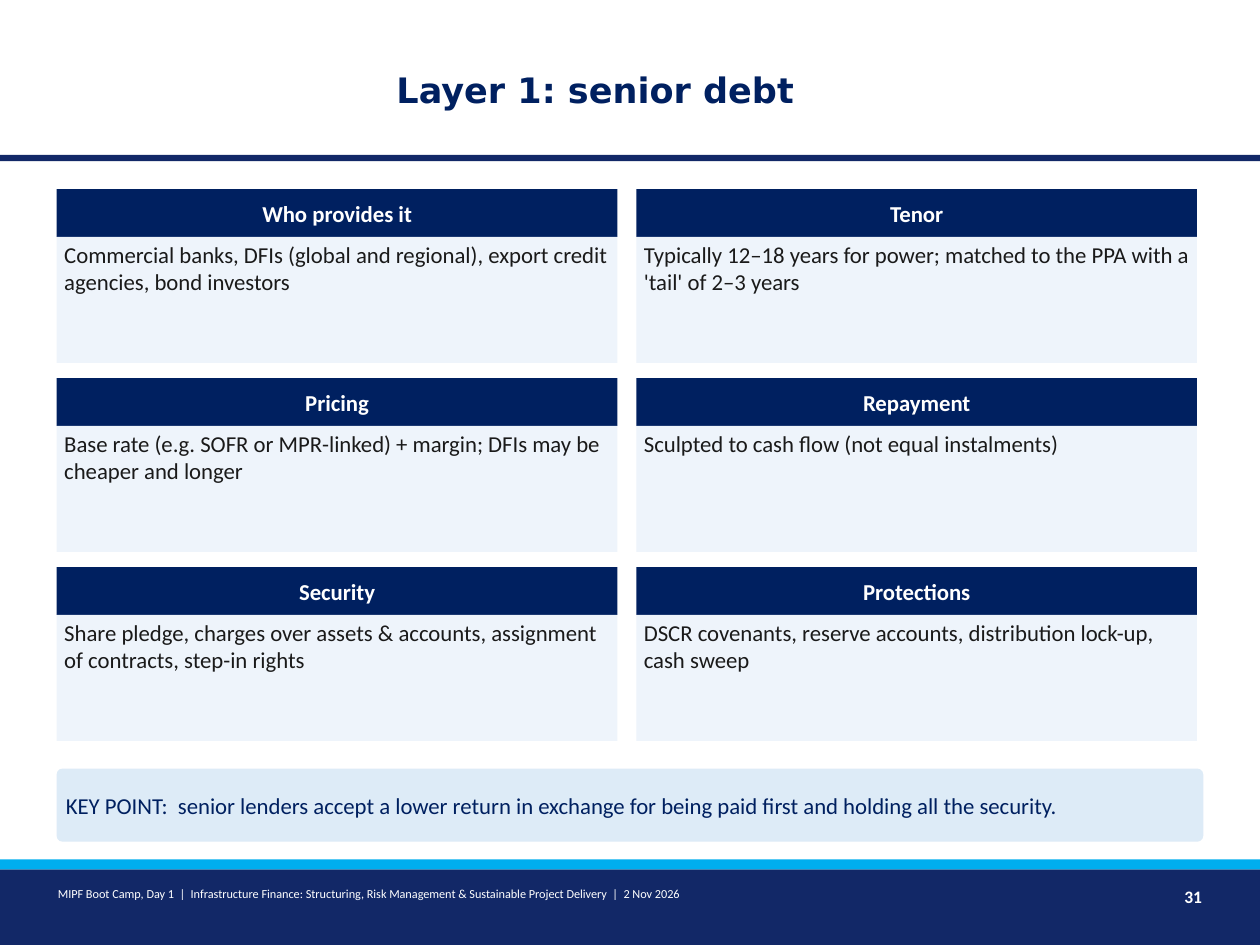
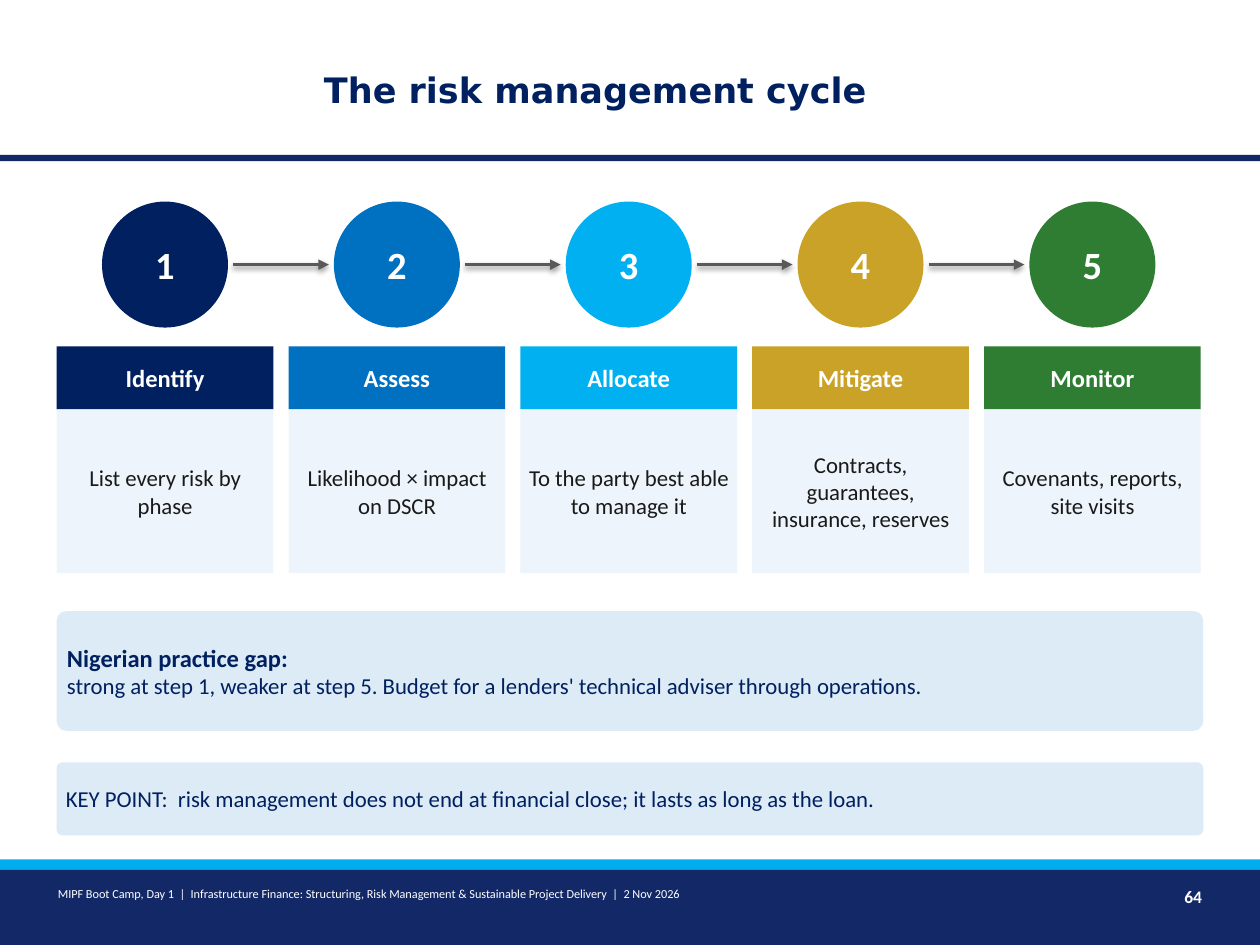
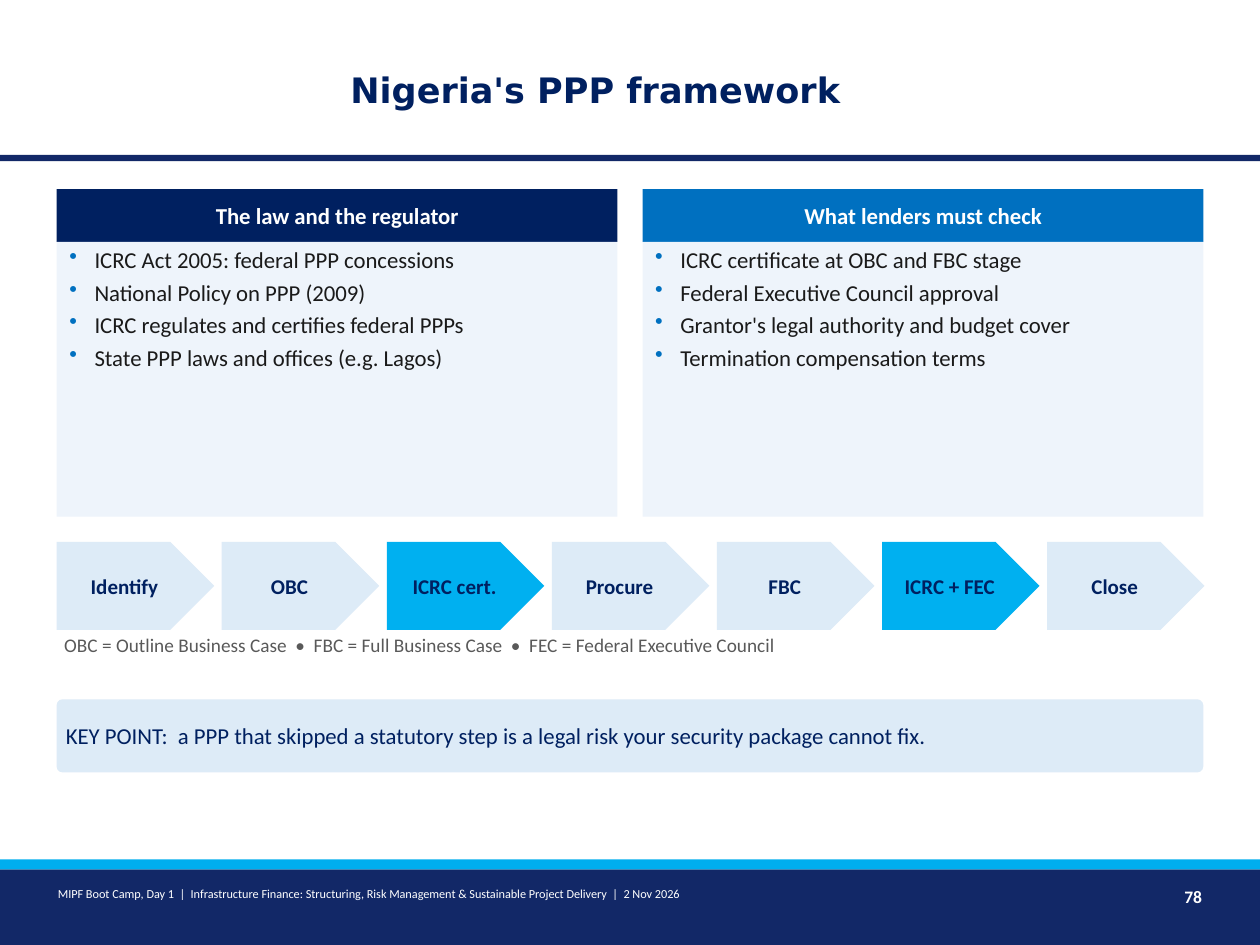
from lxml import etree
from pptx import Presentation
from pptx.dml.color import RGBColor
from pptx.enum.dml import MSO_LINE
from pptx.enum.shapes import MSO_CONNECTOR, MSO_SHAPE
from pptx.enum.text import MSO_ANCHOR, MSO_AUTO_SIZE, PP_ALIGN
from pptx.oxml.ns import qn
from pptx.util import Emu, Pt

RECT = MSO_SHAPE.RECTANGLE
ROUNDED = MSO_SHAPE.ROUNDED_RECTANGLE
OVAL = MSO_SHAPE.OVAL
PENTAGON = MSO_SHAPE.PENTAGON
STRAIGHT = MSO_CONNECTOR.STRAIGHT
SOLID = MSO_LINE.SOLID
LEFT, CENTER, RIGHT = PP_ALIGN.LEFT, PP_ALIGN.CENTER, PP_ALIGN.RIGHT
TOP, MIDDLE = MSO_ANCHOR.TOP, MSO_ANCHOR.MIDDLE
GROW = MSO_AUTO_SIZE.SHAPE_TO_FIT_TEXT

EMU_PER_PX = 9144  # 100 px to the inch
COLORS = {
    "band": "122867", "stripe": "00AEEF", "navy": "002060", "blue": "0070C0",
    "sky": "00B0F0", "gold": "C9A227", "green": "2E7D32", "panel": "EEF4FB",
    "callout": "DDEBF7", "ink": "1A1A1A", "gray": "595959", "white": "FFFFFF",
}
BODY_FONT, TITLE_FONT = "Calibri", "DejaVu Sans"
MARGIN, CONTENT_WIDTH, COLUMN_WIDTH = 45, 910, 445
CONTENT_TOP = 150
FOOTER = ("MIPF Boot Camp, Day 1  |  Infrastructure Finance: Structuring, "
          "Risk Management & Sustainable Project Delivery  |  2 Nov 2026")

DEBT_TERMS = [
    ("Who provides it", "Commercial banks, DFIs (global and regional), export "
                        "credit agencies, bond investors"),
    ("Tenor", "Typically 12–18 years for power; matched to the PPA with a "
              "'tail' of 2–3 years"),
    ("Pricing", "Base rate (e.g. SOFR or MPR-linked) + margin; DFIs may be "
                "cheaper and longer"),
    ("Repayment", "Sculpted to cash flow (not equal instalments)"),
    ("Security", "Share pledge, charges over assets & accounts, assignment of "
                 "contracts, step-in rights"),
    ("Protections", "DSCR covenants, reserve accounts, distribution lock-up, "
                    "cash sweep"),
]
RISK_STEPS = [
    ("Identify", "List every risk by phase", "navy"),
    ("Assess", "Likelihood × impact on DSCR", "blue"),
    ("Allocate", "To the party best able to manage it", "sky"),
    ("Mitigate", "Contracts, guarantees, insurance, reserves", "gold"),
    ("Monitor", "Covenants, reports, site visits", "green"),
]
PPP_COLUMNS = [
    ("The law and the regulator", "navy", [
        "ICRC Act 2005: federal PPP concessions",
        "National Policy on PPP (2009)",
        "ICRC regulates and certifies federal PPPs",
        "State PPP laws and offices (e.g. Lagos)",
    ]),
    ("What lenders must check", "blue", [
        "ICRC certificate at OBC and FBC stage",
        "Federal Executive Council approval",
        "Grantor's legal authority and budget cover",
        "Termination compensation terms",
    ]),
]
PPP_STAGES = ["Identify", "OBC", "ICRC cert.", "Procure", "FBC", "ICRC + FEC", "Close"]
REGULATED_STAGES = {"ICRC cert.", "ICRC + FEC"}


def px(length):
    return Emu(length * EMU_PER_PX)


def box_px(*lengths):
    return [px(length) for length in lengths]


def rgb(color):
    return RGBColor.from_string(COLORS[color])


def add_bullet(paragraph):
    properties = paragraph._p.get_or_add_pPr()
    properties.set("marL", str(px(24)))
    properties.set("indent", str(px(-20)))
    bullet_color = etree.SubElement(properties, qn("a:buClr"))
    etree.SubElement(bullet_color, qn("a:srgbClr"), val=COLORS["blue"])
    etree.SubElement(properties, qn("a:buChar"), char="•")


def write(frame, text, size=13, color="ink", bold=False, font=BODY_FONT,
          align=LEFT, anchor=MIDDLE, after=None, bullet=False, new=False):
    """Write one paragraph: the first of the frame, or a further one if new."""
    frame.word_wrap = True
    frame.vertical_anchor = anchor
    paragraph = frame.add_paragraph() if new else frame.paragraphs[0]
    if bullet:
        add_bullet(paragraph)
    paragraph.alignment = align
    if after is not None:
        paragraph.space_after = Pt(after)
    run = paragraph.add_run()
    run.text = text
    run.font.name = font
    run.font.size = Pt(size)
    run.font.bold = bold
    run.font.color.rgb = rgb(color)


def set_insets(frame):
    frame.margin_left = frame.margin_right = px(6)
    frame.margin_top = frame.margin_bottom = px(3)


def add_block(slide, kind, box, fill, text=None, **text_format):
    block = slide.shapes.add_shape(kind, *box_px(*box))
    block.shadow.inherit = False
    block.fill.solid()
    block.fill.fore_color.rgb = rgb(fill)
    block.line.fill.background()
    set_insets(block.text_frame)
    if text:
        write(block.text_frame, text, **text_format)
    return block


def add_label(slide, box, text, **text_format):
    frame = slide.shapes.add_textbox(*box_px(*box)).text_frame
    set_insets(frame)
    write(frame, text, anchor=TOP, **text_format)
    frame.auto_size = GROW


def add_header(slide, box, text, fill, size=13):
    add_block(slide, RECT, box, fill, text, size=size, color="white", bold=True,
              align=CENTER)


def add_callout(slide, top, height, text, **text_format):
    callout = add_block(slide, ROUNDED, (MARGIN, top, CONTENT_WIDTH, height),
                        "callout", text, color="navy", **text_format)
    callout.adjustments[0] = 0.08
    return callout


def add_key_point(slide, top, text):
    add_callout(slide, top, 58, "KEY POINT:  " + text)


def add_arrow(slide, start, end, y):
    arrow = slide.shapes.add_connector(STRAIGHT, *box_px(start, y, end, y))
    arrow.line.color.rgb = rgb("gray")
    arrow.line.width = Pt(2)
    arrow.line.dash_style = SOLID
    etree.SubElement(arrow.line._get_or_add_ln(), qn("a:tailEnd"), type="triangle")


def add_bands(layout, slide):
    """Draw the bands on the slide, then move them to the layout all slides share."""
    for placeholder in list(layout.placeholders)[1:]:
        layout.shapes.element.remove(placeholder.element)
    for top, height, fill in [(123, 5, "band"), (690, 60, "band"), (682, 8, "stripe")]:
        band = add_block(slide, RECT, (0, top, 1000, height), fill)
        layout.shapes.element.append(band.element)


def add_slide(prs, title_text, number):
    layout = prs.slide_layouts[5]
    slide = prs.slides.add_slide(layout)
    if len(prs.slides) == 1:
        add_bands(layout, slide)
    title = slide.shapes.title
    title.left, title.top, title.width, title.height = box_px(230, 22, 485, 98)
    write(title.text_frame, title_text, size=20, color="navy", bold=True,
          font=TITLE_FONT, align=CENTER)
    add_label(slide, (40, 700, 680, 35), FOOTER, size=7, color="white")
    add_label(slide, (900, 700, 60, 35), str(number), size=10, color="white",
              bold=True, align=RIGHT)
    return slide


def build_senior_debt(prs):
    slide = add_slide(prs, "Layer 1: senior debt", 31)
    for index, (heading, detail) in enumerate(DEBT_TERMS):
        row, column = divmod(index, 2)
        left, top = MARGIN + column * 460, CONTENT_TOP + row * 150
        add_header(slide, (left, top, COLUMN_WIDTH, 38), heading, "navy")
        add_block(slide, RECT, (left, top + 38, COLUMN_WIDTH, 100), "panel",
                  detail, anchor=TOP, after=3)
    add_key_point(slide, 610, "senior lenders accept a lower return in exchange "
                              "for being paid first and holding all the security.")


def build_risk_cycle(prs):
    slide = add_slide(prs, "The risk management cycle", 64)
    width, pitch, diameter, arrow_gap = 172, 184, 100, 4
    for index, (step, action, color) in enumerate(RISK_STEPS):
        left = MARGIN + index * pitch
        circle_left = left + (width - diameter) // 2
        add_block(slide, OVAL, (circle_left, 160, diameter, diameter), color,
                  str(index + 1), size=22, color="white", bold=True, align=CENTER)
        add_header(slide, (left, 275, width, 50), step, color, size=14)
        add_block(slide, RECT, (left, 325, width, 130), "panel", action, align=CENTER)
        if index < len(RISK_STEPS) - 1:
            add_arrow(slide, circle_left + diameter + arrow_gap,
                      circle_left + pitch - arrow_gap, 210)
    practice_gap = add_callout(slide, 485, 95, "Nigerian practice gap:", size=14,
                               bold=True)
    write(practice_gap.text_frame, "strong at step 1, weaker at step 5. Budget for a "
          "lenders' technical adviser through operations.", color="navy", new=True)
    add_key_point(slide, 605, "risk management does not end at financial close; "
                              "it lasts as long as the loan.")


def build_ppp_framework(prs):
    slide = add_slide(prs, "Nigeria's PPP framework", 78)
    for column, (heading, color, points) in enumerate(PPP_COLUMNS):
        left = MARGIN + column * 465
        add_header(slide, (left, CONTENT_TOP, COLUMN_WIDTH, 42), heading, color)
        panel = add_block(slide, RECT, (left, 192, COLUMN_WIDTH, 218), "panel")
        for index, point in enumerate(points):
            write(panel.text_frame, point, anchor=TOP, after=3, bullet=True,
                  new=index > 0)
    for index, stage in enumerate(PPP_STAGES):
        fill = "sky" if stage in REGULATED_STAGES else "callout"
        add_block(slide, PENTAGON, (MARGIN + index * 131, 430, 125, 70), fill, stage,
                  size=12, color="navy", bold=True, align=CENTER)
    add_label(slide, (MARGIN, 500, CONTENT_WIDTH, 40),
              "OBC = Outline Business Case  •  FBC = Full Business Case  •  "
              "FEC = Federal Executive Council", size=11, color="gray", after=4)
    add_key_point(slide, 555, "a PPP that skipped a statutory step is a legal risk "
                              "your security package cannot fix.")


def main():
    prs = Presentation()
    prs.slide_width, prs.slide_height = box_px(1000, 750)
    build_senior_debt(prs)
    build_risk_cycle(prs)
    build_ppp_framework(prs)
    prs.save("out.pptx")


if __name__ == "__main__":
    main()
